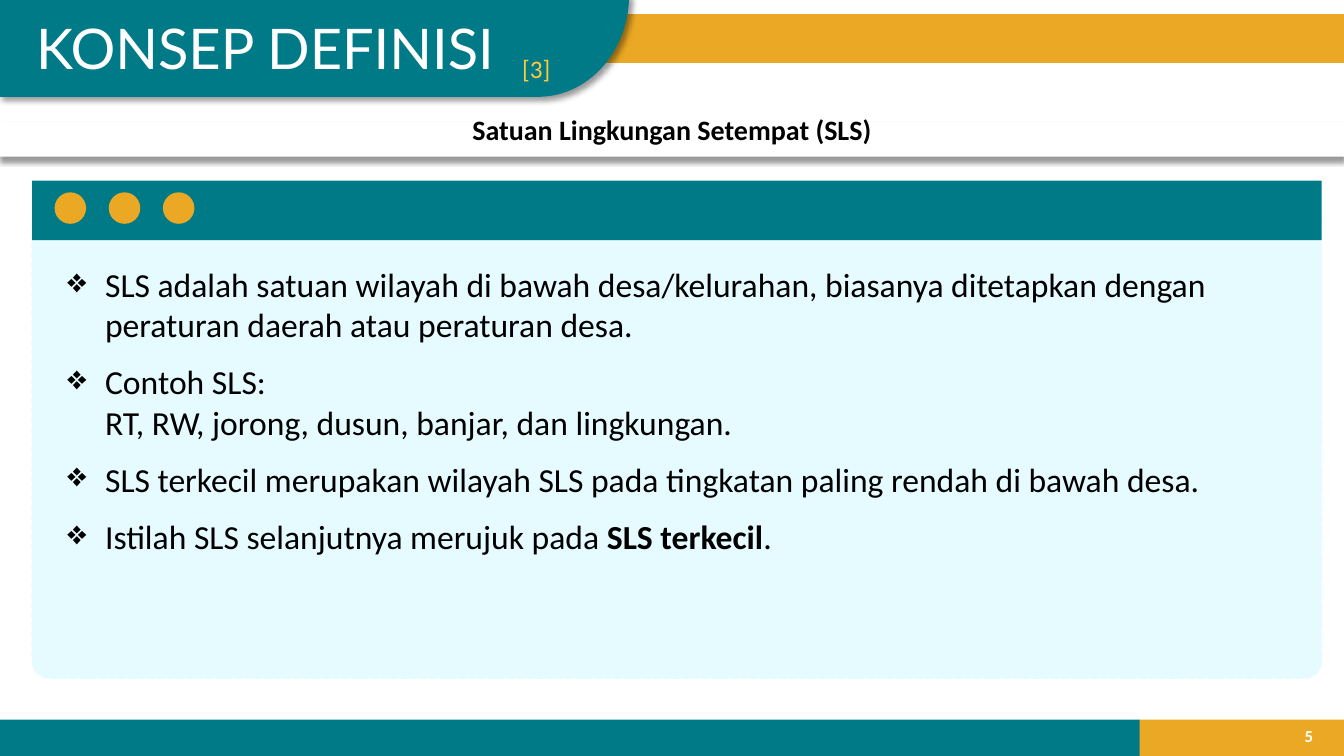
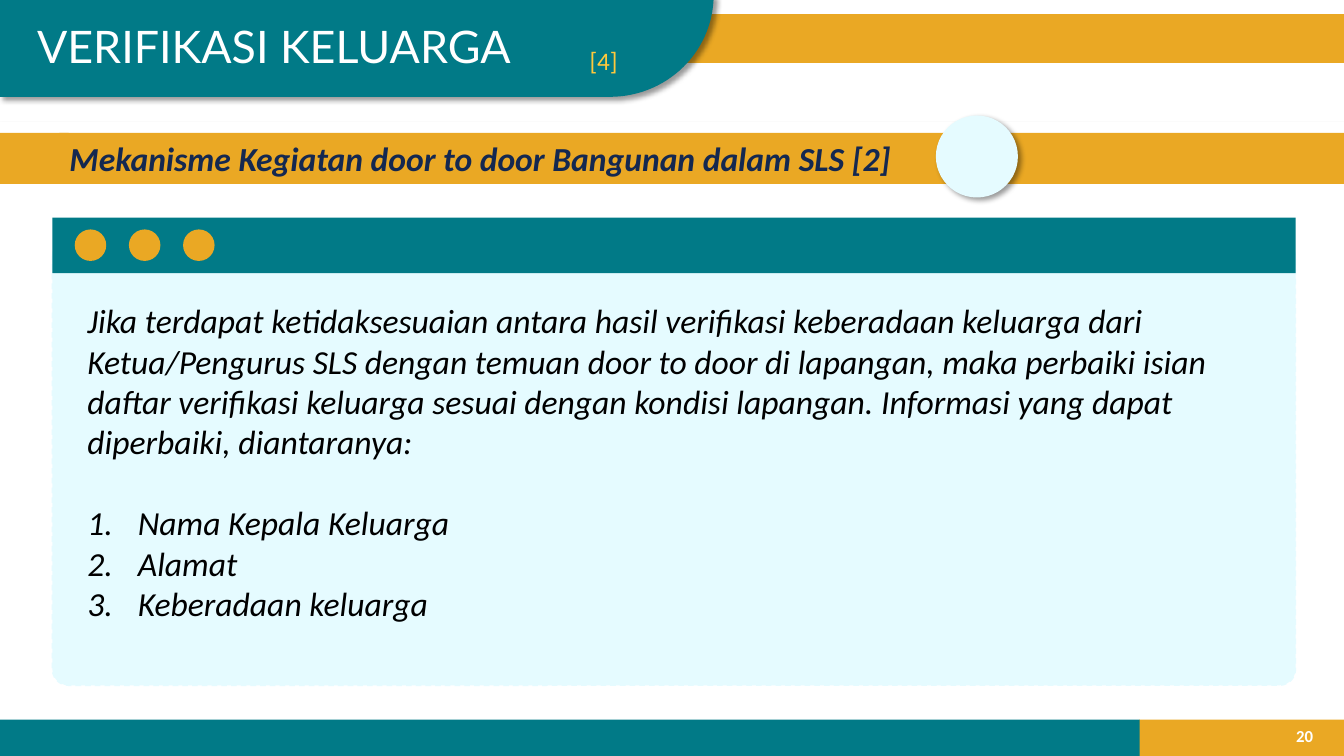
"""Build two slides on local area units and family verification."""
import math

from lxml import etree
from pptx import Presentation
from pptx.dml.color import RGBColor
from pptx.enum.dml import MSO_LINE
from pptx.enum.shapes import MSO_SHAPE
from pptx.enum.text import MSO_ANCHOR, PP_ALIGN
from pptx.oxml.ns import qn
from pptx.util import Pt

RECTANGLE = MSO_SHAPE.RECTANGLE
ROUNDED = MSO_SHAPE.ROUNDED_RECTANGLE
OVAL = MSO_SHAPE.OVAL
DASH = MSO_LINE.DASH
LEFT, CENTER, RIGHT = PP_ALIGN.LEFT, PP_ALIGN.CENTER, PP_ALIGN.RIGHT
TOP, MIDDLE = MSO_ANCHOR.TOP, MSO_ANCHOR.MIDDLE

TEAL, GOLD, PALE = "017A87", "EAA824", "E5FBFF"
WHITE, BLACK, NAVY, YELLOW = "FFFFFF", "000000", "142850", "FFC93C"
WIDTH, HEIGHT = 960, 540
TAB_TOP, TAB_BOTTOM = -3.6, 69.2


def paint(shape, fill, line=None, shadow_angle=None):
    """Set fill, outline and an optional soft shadow."""
    shape.fill.solid()
    shape.fill.fore_color.rgb = RGBColor.from_string(fill)
    if line:
        shape.line.color.rgb = RGBColor.from_string(line)
        shape.line.width = Pt(1)
    else:
        shape.line.fill.background()
    shape.shadow.inherit = False
    if shadow_angle is not None:
        effects = shape.element.spPr.find(qn("a:effectLst"))
        shadow = etree.SubElement(
            effects, qn("a:outerShdw"), blurRad=str(Pt(4)), dist=str(Pt(3)),
            dir=str(shadow_angle * 60000), algn="tl", rotWithShape="0")
        colour = etree.SubElement(shadow, qn("a:srgbClr"), val=BLACK)
        etree.SubElement(colour, qn("a:alpha"), val="40000")
    return shape


def write(shape, text, size=24, colour=BLACK, font="Calibri", bold=False, italic=False,
          align=LEFT, anchor=TOP, before=0, bullet=None, indent=0):
    """Add one paragraph; asterisks enclose bold words."""
    frame = shape.text_frame
    frame.word_wrap = True
    frame.vertical_anchor = anchor
    paragraph = frame.paragraphs[0]
    if paragraph.runs:
        paragraph = frame.add_paragraph()
    paragraph.alignment = align
    if before:
        paragraph.space_before = Pt(before)
    if bullet:
        properties = paragraph._p.get_or_add_pPr()
        properties.set("marL", str(Pt(indent)))
        properties.set("indent", str(-Pt(indent)))
        if bullet == "1.":
            etree.SubElement(properties, qn("a:buAutoNum"), type="arabicPeriod")
        else:
            etree.SubElement(properties, qn("a:buChar"), char=bullet)
    for line_number, line in enumerate(text.split("\n")):
        if line_number:
            paragraph.add_line_break()
        for part_number, part in enumerate(line.split("*")):
            run = paragraph.add_run()
            run.text = part
            run.font.name = font
            run.font.size = Pt(size)
            run.font.bold = bold or part_number % 2 == 1
            run.font.italic = italic
            run.font.color.rgb = RGBColor.from_string(colour)


presentation = Presentation()
presentation.slide_width = Pt(WIDTH)
presentation.slide_height = Pt(HEIGHT)

pages = [
    {"number": "5", "title": "KONSEP DEFINISI", "title_size": 40, "title_box": (18.7, 5.8, 368, 55),
     "part": "[3]", "part_at": (365.8, 34.6), "tab_right": 449.4, "tab_radius": 65,
     "card": (23, 129, 921, 355.5), "header_height": 42.5},
    {"number": "20", "title": "VERIFIKASI KELUARGA", "title_size": 32, "title_box": (19.4, 10, 398, 46),
     "part": "[4]", "part_at": (414, 28.8), "tab_right": 509.8, "tab_radius": 74,
     "card": (37.4, 155.5, 888, 334), "header_height": 39.6},
]
slides = []

for page in pages:
    slide = presentation.slides.add_slide(presentation.slide_layouts[6])
    slides.append(slide)
    shapes = slide.shapes

    for box, fill in [((813.6, 514, 146.4, 26), GOLD), ((363.6, 10, 596.4, 35), GOLD),
                      ((-0.7, 514, 814.7, 26), TEAL)]:
        paint(shapes.add_shape(RECTANGLE, *map(Pt, box)), fill)
    number_box = shapes.add_textbox(Pt(911), Pt(511), Pt(34), Pt(29))
    write(number_box, page["number"], size=12, colour=WHITE, bold=True, align=RIGHT, anchor=MIDDLE)

    right, radius = page["tab_right"], page["tab_radius"]
    outline = [(right, TAB_TOP)]
    for degrees in range(3, 91, 3):
        angle = math.radians(degrees)
        outline.append((right - radius + radius * math.cos(angle),
                        TAB_TOP + (TAB_BOTTOM - TAB_TOP) * math.sin(angle)))
    outline.append((-0.7, TAB_BOTTOM))
    builder = shapes.build_freeform(Pt(-0.7), Pt(TAB_TOP))
    builder.add_line_segments([(Pt(x), Pt(y)) for x, y in outline], close=True)
    paint(builder.convert_to_shape(), TEAL, shadow_angle=45)

    subtitle_band = shapes.add_shape(RECTANGLE, Pt(0), Pt(87), Pt(WIDTH), Pt(25))
    paint(subtitle_band, WHITE, shadow_angle=90)

    left, top, width, height = page["card"]
    card = shapes.add_shape(ROUNDED, Pt(left), Pt(top + 16.5), Pt(width), Pt(height - 16.5))
    card.adjustments[0] = 0.036
    paint(card, PALE, line=PALE).line.dash_style = DASH
    header = shapes.add_shape(RECTANGLE, Pt(left), Pt(top), Pt(width), Pt(page["header_height"]))
    paint(header, TEAL)
    for column in range(3):
        dot = shapes.add_shape(OVAL, Pt(left + 16 + 38.7 * column), Pt(top + 8.4), Pt(22.5), Pt(22.5))
        paint(dot, GOLD)

    title_box = shapes.add_textbox(*map(Pt, page["title_box"]))
    write(title_box, page["title"], size=page["title_size"], colour=WHITE, font="Lato")
    part_box = shapes.add_textbox(*map(Pt, page["part_at"]), Pt(40), Pt(29))
    write(part_box, page["part"], size=18, colour=YELLOW)

definition_slide, verification_slide = slides

subtitle_box = definition_slide.shapes.add_textbox(Pt(0), Pt(77), Pt(WIDTH), Pt(31.5))
write(subtitle_box, "Satuan Lingkungan Setempat (SLS)", size=20, bold=True, align=CENTER)
definition_box = definition_slide.shapes.add_textbox(Pt(41), Pt(185), Pt(870), Pt(218))
definitions = [
    "SLS adalah satuan wilayah di bawah desa/kelurahan, biasanya ditetapkan dengan "
    "peraturan daerah atau peraturan desa.",
    "Contoh SLS:\nRT, RW, jorong, dusun, banjar, dan lingkungan.",
    "SLS terkecil merupakan wilayah SLS pada tingkatan paling rendah di bawah desa.",
    "Istilah SLS selanjutnya merujuk pada *SLS terkecil*.",
]
for index, definition in enumerate(definitions):
    write(definition_box, definition, before=12 if index else 0, bullet="❖", indent=27)

for left, width in [(-1.4, 50.4), (708.5, 252), (42.5, 639.4)]:
    mechanism_band = verification_slide.shapes.add_shape(RECTANGLE, Pt(left), Pt(95), Pt(width), Pt(36.3))
    paint(mechanism_band, GOLD)
write(mechanism_band, "Mekanisme Kegiatan door to door Bangunan dalam SLS [2]",
      colour=NAVY, bold=True, italic=True)
band_circle = verification_slide.shapes.add_shape(OVAL, Pt(669), Pt(83), Pt(57.6), Pt(57.6))
paint(band_circle, PALE, line=PALE, shadow_angle=45)

correction_box = verification_slide.shapes.add_textbox(Pt(55.4), Pt(211), Pt(870), Pt(240))
write(correction_box,
      "Jika terdapat ketidaksesuaian antara hasil verifikasi keberadaan keluarga dari "
      "Ketua/Pengurus SLS dengan temuan door to door di lapangan, maka perbaiki isian "
      "daftar verifikasi keluarga sesuai dengan kondisi lapangan. Informasi yang dapat "
      "diperbaiki, diantaranya:", italic=True)
for index, item in enumerate(["Nama Kepala Keluarga", "Alamat", "Keberadaan keluarga"]):
    write(correction_box, item, italic=True, before=0 if index else 29, bullet="1.", indent=36)

presentation.save("out.pptx")
